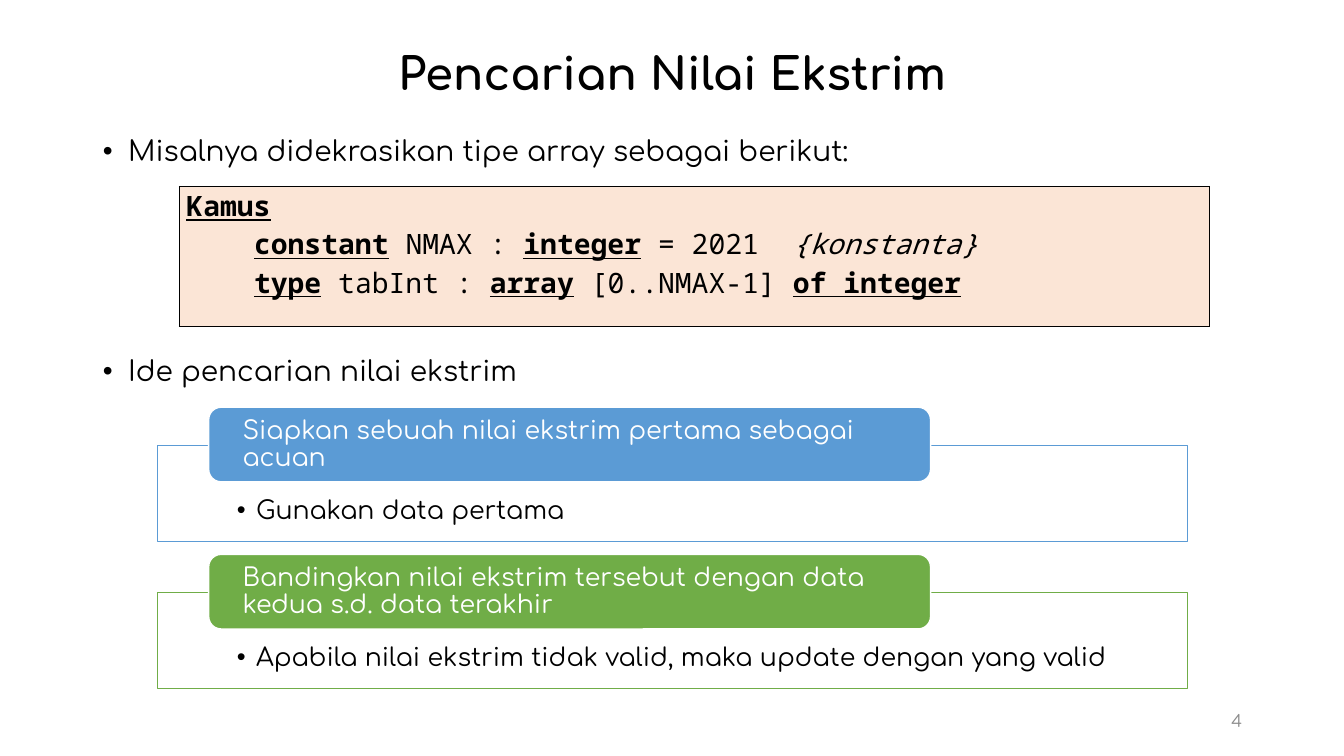
from dataclasses import dataclass

from lxml import etree
from pptx import Presentation
from pptx.dml.color import RGBColor
from pptx.enum.shapes import MSO_SHAPE as Shape
from pptx.enum.text import MSO_ANCHOR as Anchor, MSO_AUTO_SIZE as AutoSize, PP_ALIGN as Align
from pptx.oxml.ns import qn
from pptx.util import Inches, Pt


@dataclass(frozen=True)
class Theme:
    text_font: str = "Comfortaa"
    code_font: str = "Noto Sans Mono"
    black: str = "000000"
    white: str = "FFFFFF"
    grey: str = "8C8C8C"
    blue: str = "5B9BD5"
    green: str = "70AD47"
    peach: str = "FBE5D6"
    title_size: int = 32
    body_size: int = 20
    step_size: int = 18
    number_size: int = 12


THEME = Theme()

# Code lines: plain strings, or (text, style) for keywords and remarks
KEYWORD = {"bold": True, "underline": True}
REMARK = {"italic": True}
CODE = [
    (0, [("Kamus", KEYWORD)]),
    (0.67, [("constant", KEYWORD), " NMAX : ", ("integer", KEYWORD), " = 2021  ",
            ("{konstanta}", REMARK)]),
    (0.67, [("type", KEYWORD), " tabInt : ", ("array", KEYWORD), " [0..NMAX-1] ",
            ("of integer", KEYWORD)]),
]

STEPS = [
    (THEME.blue, "Siapkan sebuah nilai ekstrim pertama sebagai acuan",
     "Gunakan data pertama"),
    (THEME.green, "Bandingkan nilai ekstrim tersebut dengan data kedua s.d. data terakhir",
     "Apabila nilai ekstrim tidak valid, maka update dengan yang valid"),
]
STEP_TOP, STEP_PITCH = 4.04, 1.46


def write(frame, *pieces, size, color=THEME.black, font=THEME.text_font, bold=False,
          align=Align.LEFT, spacing=0.9, before=0, left=0, hanging=0):
    """Add one paragraph; a hanging indent gives it a bullet."""
    paragraph = frame.paragraphs[0]
    if paragraph.runs:
        paragraph = frame.add_paragraph()
    paragraph.alignment = align
    paragraph.line_spacing = spacing
    paragraph.space_before = Pt(before)
    properties = paragraph._p.get_or_add_pPr()
    properties.set("marL", str(Inches(left)))
    properties.set("indent", str(Inches(-hanging)))
    if hanging:
        etree.SubElement(properties, qn("a:buFont"), typeface="Arial")
        etree.SubElement(properties, qn("a:buChar"), char="•")
    for piece in pieces:
        words, style = (piece, {}) if isinstance(piece, str) else piece
        run = paragraph.add_run()
        run.text = words
        run.font.name, run.font.size = font, Pt(size)
        run.font.color.rgb = RGBColor.from_string(color)
        run.font.bold = style.get("bold", bold)
        run.font.underline = style.get("underline", False)
        run.font.italic = style.get("italic", False)


def place(item, left, top, width, height):
    item.left, item.top = Inches(left), Inches(top)
    item.width, item.height = Inches(width), Inches(height)


def set_frame(frame, anchor=Anchor.TOP, side=0.1, top=0.05, bottom=0.05):
    frame.word_wrap = True
    frame.auto_size = AutoSize.NONE
    frame.vertical_anchor = anchor
    frame.margin_left = frame.margin_right = Inches(side)
    frame.margin_top, frame.margin_bottom = Inches(top), Inches(bottom)
    return frame


def add_box(slide, kind, left, top, width, height, fill, line):
    box = slide.shapes.add_shape(kind, *map(Inches, (left, top, width, height)))
    box.shadow.inherit = False
    box.fill.solid()
    box.fill.fore_color.rgb = RGBColor.from_string(fill)
    box.line.color.rgb = RGBColor.from_string(line)
    box.line.width = Pt(1)
    return box


def add_step(slide, top, color, heading, detail):
    panel = add_box(slide, Shape.RECTANGLE, 1.56, top + 0.38, 10.22, 0.95, THEME.white, color)
    write(set_frame(panel.text_frame, side=0.79, top=0.52, bottom=0.14), detail,
          size=THEME.step_size, left=0.19, hanging=0.19)
    label = add_box(slide, Shape.ROUNDED_RECTANGLE, 2.07, top, 7.16, 0.74, color, THEME.white)
    write(set_frame(label.text_frame, Anchor.MIDDLE, side=0.3, top=0, bottom=0), heading,
          size=THEME.step_size, color=THEME.white)


def add_border(cell):
    properties = cell._tc.get_or_add_tcPr()
    for side in ("a:lnL", "a:lnR", "a:lnT", "a:lnB"):
        line = etree.SubElement(properties, qn(side), w=str(Pt(1)))
        fill = etree.SubElement(line, qn("a:solidFill"))
        etree.SubElement(fill, qn("a:srgbClr"), val=THEME.black)


def add_code_table(slide, lines):
    area = map(Inches, (1.78, 1.85, 10.22, 1.39))
    table = slide.shapes.add_table(1, 1, *area).table
    table.first_row = table.horz_banding = False
    cell = table.cell(0, 0)
    add_border(cell)
    cell.fill.solid()
    cell.fill.fore_color.rgb = RGBColor.from_string(THEME.peach)
    cell.margin_left = cell.margin_right = Inches(0.07)
    cell.margin_top = cell.margin_bottom = 0
    for indent, pieces in lines:
        write(cell.text_frame, *pieces, size=THEME.body_size, font=THEME.code_font,
              spacing=1.0, left=indent)


def main():
    deck = Presentation()
    deck.slide_width, deck.slide_height = Inches(13.33), Inches(7.5)
    slide = deck.slides.add_slide(deck.slide_layouts[1])

    # Title
    title = slide.shapes.title
    place(title, 0.92, 0.4, 11.5, 0.7)
    write(set_frame(title.text_frame, Anchor.MIDDLE), "Pencarian Nilai Ekstrim",
          size=THEME.title_size, bold=True, align=Align.CENTER)

    # Bullets, with room for the code between them
    body = slide.placeholders[1]
    place(body, 0.92, 1.31, 11.5, 5.44)
    points = set_frame(body.text_frame)
    for point, before in [("Misalnya didekrasikan tipe array sebagai berikut:", 10),
                          ("Ide pencarian nilai ekstrim", 136)]:
        write(points, point, size=THEME.body_size, before=before, left=0.25, hanging=0.25)

    # Slide number
    number = slide.shapes.add_textbox(*map(Inches, (9.42, 6.95, 3, 0.4)))
    write(set_frame(number.text_frame, Anchor.MIDDLE), "4", size=THEME.number_size,
          color=THEME.grey, align=Align.RIGHT, spacing=1.0)

    # Steps and code
    for index, step in enumerate(STEPS):
        add_step(slide, STEP_TOP + index * STEP_PITCH, *step)
    add_code_table(slide, CODE)

    deck.save("out.pptx")


if __name__ == "__main__":
    main()
